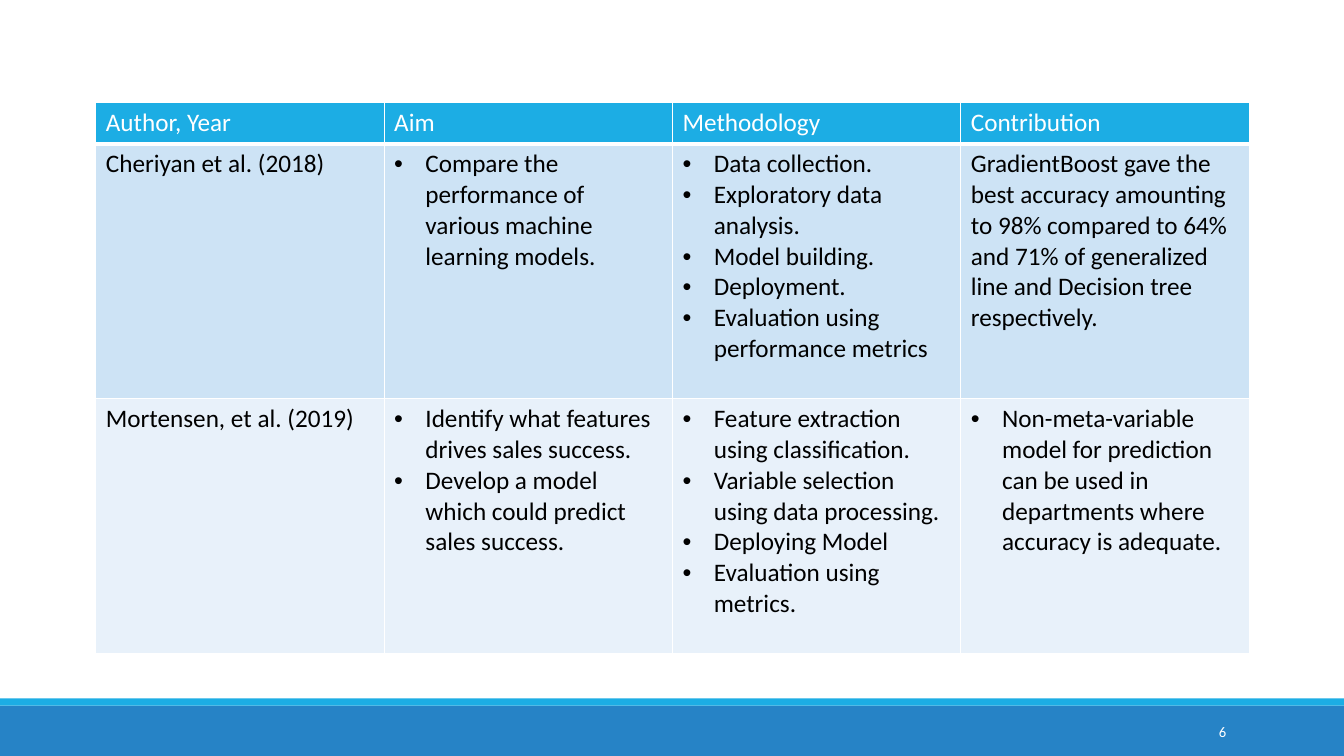
from lxml.etree import SubElement
from pptx import Presentation
from pptx.dml.color import RGBColor
from pptx.enum.shapes import MSO_SHAPE as Shape
from pptx.enum.text import MSO_ANCHOR as Anchor, PP_ALIGN as Align
from pptx.oxml.ns import qn
from pptx.util import Inches, Pt

HEADINGS = ["Author, Year", "Aim", "Methodology", "Contribution"]
STUDIES = [
    [
        "Cheriyan et al. (2018)",
        ["Compare the performance of various machine learning models."],
        [
            "Data collection.",
            "Exploratory data analysis.",
            "Model building.",
            "Deployment.",
            "Evaluation using performance metrics",
        ],
        "GradientBoost gave the best accuracy amounting to 98% compared to 64% "
        "and 71% of generalized line and Decision tree respectively.",
    ],
    [
        "Mortensen, et al. (2019)",
        [
            "Identify what features drives sales success.",
            "Develop a model which could predict sales success.",
        ],
        [
            "Feature extraction using classification.",
            "Variable selection using data processing.",
            "Deploying Model",
            "Evaluation using metrics.",
        ],
        [
            "Non-meta-variable model for prediction can be used in departments "
            "where accuracy is adequate."
        ],
    ],
]
PAGE_NUMBER = "6"
COLORS = {
    "band": "2683C6",
    "accent": "1CADE4",
    "odd": "CDE3F5",
    "even": "E8F1FA",
    "white": "FFFFFF",
    "black": "000000",
}
FOOTER_BANDS = [(7, 0.5, "band"), (6.93, 0.07, "accent")]
ROW_FILLS = ["accent", "odd", "even"]
ROW_HEIGHTS = [0.4, 2.53, 2.53]
COLUMN_WIDTH = 2.86
SLIDE_WIDTH, SLIDE_HEIGHT = 13.33, 7.5


def rgb(name):
    return RGBColor.from_string(COLORS[name])


def write(frame, content, size=18, color="black", align=Align.LEFT):
    bulleted = isinstance(content, list)
    frame.word_wrap = True
    for index, line in enumerate(content if bulleted else [content]):
        paragraph = frame.add_paragraph() if index else frame.paragraphs[0]
        paragraph.alignment = align
        if bulleted:
            properties = paragraph._p.get_or_add_pPr()
            properties.set("marL", str(Inches(0.31)))
            properties.set("indent", str(Inches(-0.31)))
            SubElement(properties, qn("a:buFont"), typeface="Arial")
            SubElement(properties, qn("a:buChar"), char="•")
        run = paragraph.add_run()
        run.text = line
        run.font.name = "Calibri"
        run.font.size = Pt(size)
        run.font.color.rgb = rgb(color)


def add_borders(cell, bottom):
    properties = cell._tc.get_or_add_tcPr()
    for side, width in [("L", 1), ("R", 1), ("T", 1), ("B", bottom)]:
        border = SubElement(properties, qn(f"a:ln{side}"), w=str(Pt(width)))
        fill = SubElement(border, qn("a:solidFill"))
        SubElement(fill, qn("a:srgbClr"), val=COLORS["white"])


presentation = Presentation()
presentation.slide_width = Inches(SLIDE_WIDTH)
presentation.slide_height = Inches(SLIDE_HEIGHT)
slide = presentation.slides.add_slide(presentation.slide_layouts[6])

for top, height, color in FOOTER_BANDS:
    band = slide.shapes.add_shape(
        Shape.RECTANGLE, 0, Inches(top), Inches(SLIDE_WIDTH), Inches(height)
    )
    band.shadow.inherit = False
    band.fill.solid()
    band.fill.fore_color.rgb = rgb(color)
    band.line.fill.background()

review = slide.shapes.add_table(
    len(ROW_HEIGHTS), len(HEADINGS), Inches(0.95), Inches(1.02),
    Inches(COLUMN_WIDTH * len(HEADINGS)), Inches(sum(ROW_HEIGHTS)),
).table
for column in review.columns:
    column.width = Inches(COLUMN_WIDTH)
for r, entries in enumerate([HEADINGS, *STUDIES]):
    review.rows[r].height = Inches(ROW_HEIGHTS[r])
    for c, entry in enumerate(entries):
        cell = review.cell(r, c)
        add_borders(cell, bottom=1 if r else 3)
        cell.fill.solid()
        cell.fill.fore_color.rgb = rgb(ROW_FILLS[r])
        write(cell.text_frame, entry, color="black" if r else "white")

page_number = slide.shapes.add_textbox(
    Inches(10.83), Inches(7.06), Inches(1.43), Inches(0.4)
)
page_number.text_frame.vertical_anchor = Anchor.MIDDLE
write(page_number.text_frame, PAGE_NUMBER, size=10.5, color="white", align=Align.RIGHT)

presentation.save("out.pptx")
